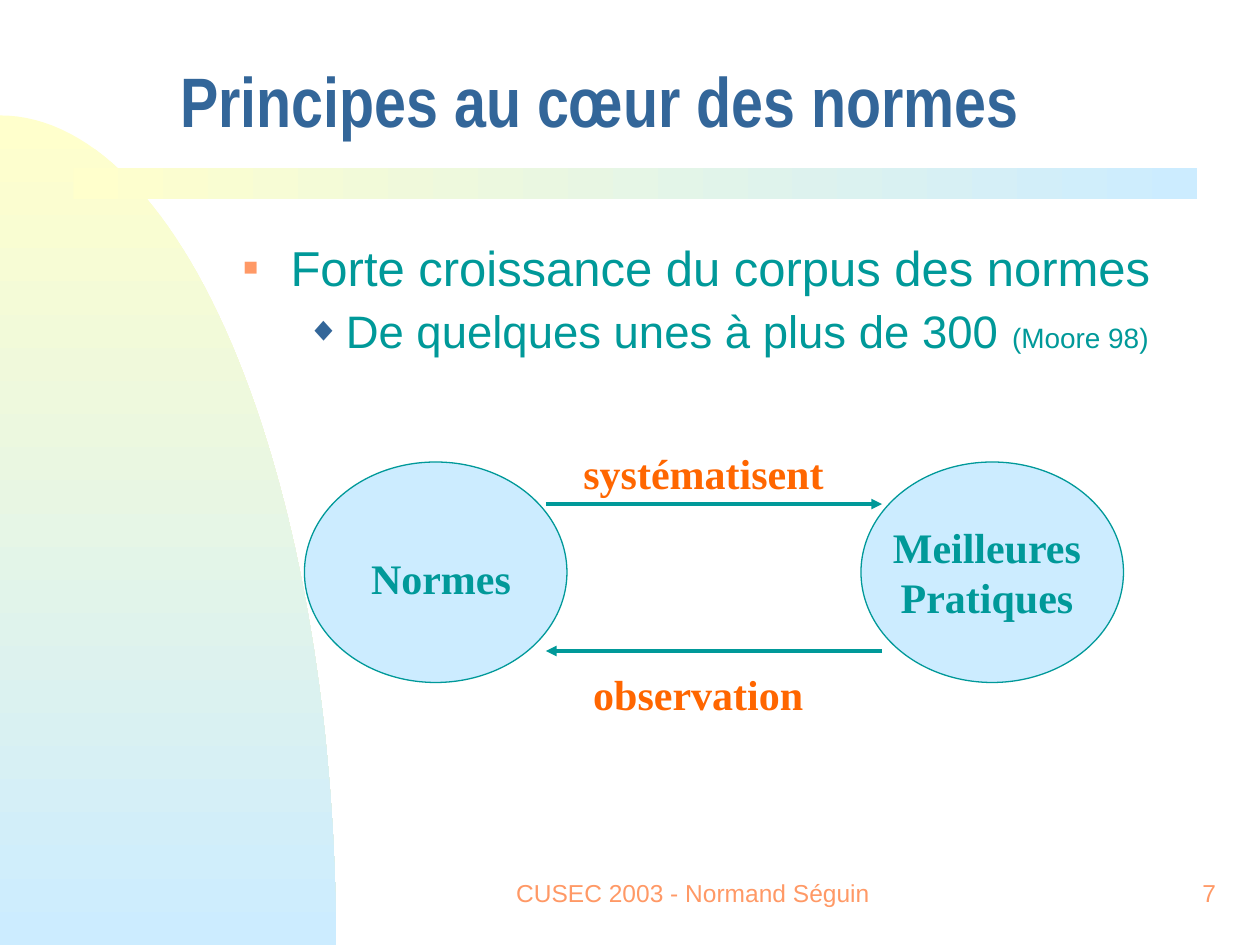
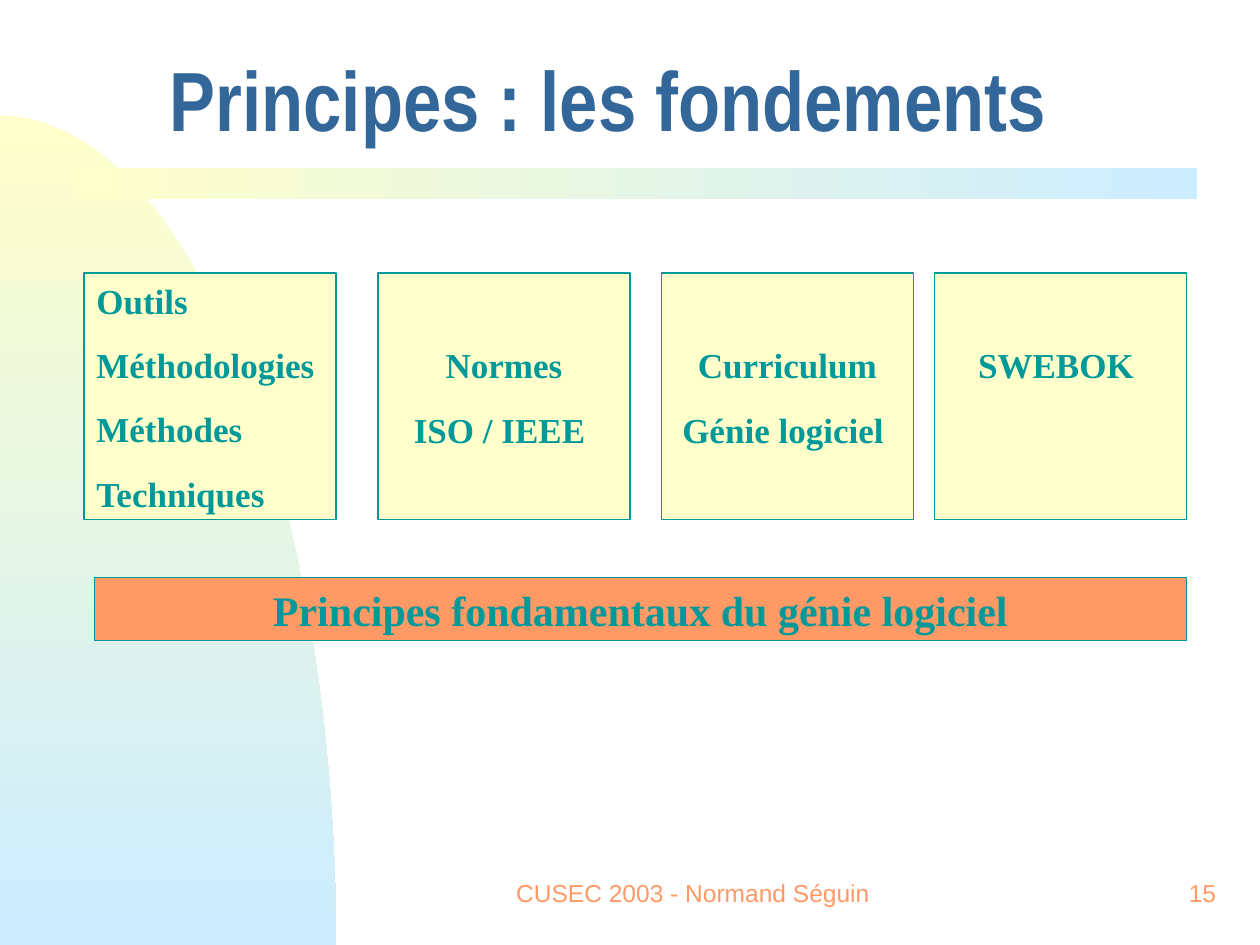
from dataclasses import dataclass
from math import cos, pi, sin
from lxml.etree import SubElement
from pptx import Presentation
from pptx.dml.color import RGBColor as Rgb
from pptx.enum.shapes import MSO_CONNECTOR as Link, MSO_SHAPE as Form
from pptx.enum.text import MSO_ANCHOR as Anchor, PP_ALIGN as Align
from pptx.oxml.ns import qn
from pptx.util import Pt


@dataclass(frozen=True)
class Theme:
    navy: str = "336699"
    teal: str = "009999"
    coral: str = "FF9966"
    orange: str = "FF6600"
    cream: str = "FFFFCC"
    sky: str = "CCECFF"
    sans: str = "Arial"
    narrow: str = "Arial Narrow"
    serif: str = "Times New Roman"
    foot: int = 14
    cite: int = 16
    small: int = 20
    label: int = 24
    sub: int = 26
    lead: int = 28
    line: float = 0.75
    arrow: float = 2


look = Theme()


def write(shape, lines, font, size, color, align=Align.CENTER, bold=False,
          anchor=Anchor.TOP, space=None, gap=0, top=3.6):
    frame = shape.text_frame
    frame.word_wrap = True
    frame.vertical_anchor = anchor
    frame.margin_left = frame.margin_right = Pt(7.2)
    frame.margin_top, frame.margin_bottom = Pt(top), Pt(3.6)
    for i, line in enumerate(lines):
        para = frame.add_paragraph() if i else frame.paragraphs[0]
        para.alignment = align
        para.line_spacing = space
        para.space_before = Pt(gap if i else 0)
        for text, pts in [(line, size)] if isinstance(line, str) else line:
            run = para.add_run()
            run.text = text
            run.font.name, run.font.size, run.font.bold = font, Pt(pts), bold
            run.font.color.rgb = Rgb.from_string(color)
    return frame


def paint(shape, fill):
    shape.shadow.inherit = False
    shape.fill.solid()
    shape.fill.fore_color.rgb = Rgb.from_string(fill)
    shape.line.color.rgb = Rgb.from_string(look.teal)
    shape.line.width = Pt(look.line)
    return shape


deck = Presentation()
deck.slide_width, deck.slide_height = Pt(720), Pt(540)

heads = [
    ("Principes au cœur des normes", 40, (96, 18, 570, 90), "7"),
    ("Principes : les fondements", 48, (90, 18, 522, 90), "15"),
]
pages = []
for title, size, box, number in heads:
    page = deck.slides.add_slide(deck.slide_layouts[6]).shapes
    pages.append(page)

    arc = [(Pt(192 * sin(pi * k / 120)), Pt(540 - 474 * cos(pi * k / 120)))
           for k in range(61)]
    path = page.build_freeform(*arc[0])
    path.add_line_segments(arc[1:] + [(0, Pt(540))], close=True)
    hill = path.convert_to_shape()
    band = page.add_shape(Form.RECTANGLE, Pt(42), Pt(96), Pt(642), Pt(18))
    for shape, angle in ((hill, 270), (band, 0)):
        shape.shadow.inherit = False
        shape.line.fill.background()
        shape.fill.gradient()
        shape.fill.gradient_angle = angle
        for stop, color in zip(shape.fill.gradient_stops, (look.cream, look.sky)):
            stop.color.rgb = Rgb.from_string(color)

    write(page.add_textbox(*map(Pt, box)), [title], look.narrow, size, look.navy,
          Align.LEFT, True, Anchor.MIDDLE, 0.7)
    for text, left, width, align in (
        ("CUSEC 2003 - Normand Séguin", 282, 228, Align.CENTER),
        (number, 552, 150, Align.RIGHT),
    ):
        foot = page.add_textbox(Pt(left), Pt(492), Pt(width), Pt(36))
        write(foot, [text], look.sans, look.foot, look.coral, align,
              anchor=Anchor.MIDDLE)

cycle, base = pages

body = write(
    cycle.add_textbox(Pt(132), Pt(132), Pt(570), Pt(348)),
    ["Forte croissance du corpus des normes",
     [("De quelques unes à plus de 300 ", look.sub), ("(Moore 98)", look.cite)]],
    look.sans, look.lead, look.teal, Align.LEFT, gap=4)
marks = [("■", look.coral, 50, 27, 27), ("◆", look.navy, 75, 58.5, 22.5)]
for level, (para, mark) in enumerate(zip(body.paragraphs, marks)):
    sign, color, scale, left, hang = mark
    para.level = level
    prop = para._p.get_or_add_pPr()
    prop.set("marL", str(Pt(left)))
    prop.set("indent", str(-Pt(hang)))
    tint = SubElement(prop, qn("a:buClr"))
    SubElement(tint, qn("a:srgbClr"), val=color)
    SubElement(prop, qn("a:buSzPct"), val=str(scale * 1000))
    SubElement(prop, qn("a:buFont"), typeface=look.sans)
    SubElement(prop, qn("a:buChar"), char=sign)

for left in (174, 492):
    paint(cycle.add_shape(Form.OVAL, Pt(left), Pt(264), Pt(150), Pt(126)), look.sky)

for start, end, y in ((312, 504, 288), (504, 312, 372)):
    arrow = cycle.add_connector(Link.STRAIGHT, Pt(start), Pt(y), Pt(end), Pt(y))
    arrow.line.color.rgb = Rgb.from_string(look.teal)
    arrow.line.width = Pt(look.arrow)
    SubElement(arrow.line._get_or_add_ln(), qn("a:tailEnd"), type="triangle")
    SubElement(arrow._element.spPr, qn("a:effectLst"))

labels = [
    ("Normes", (198, 312, 108, 36), look.teal),
    ("Meilleures Pratiques", (498, 294, 132, 65), look.teal),
    ("systématisent", (312, 252, 180, 36), look.orange),
    ("observation", (306, 378, 186, 36), look.orange),
]
for text, box, color in labels:
    write(cycle.add_textbox(*map(Pt, box)), [text], look.serif, look.label, color,
          bold=True, space=Pt(29))

bar = paint(base.add_shape(Form.RECTANGLE, Pt(54), Pt(330), Pt(624), Pt(36)), look.coral)
write(bar, ["Principes fondamentaux du génie logiciel"], look.serif, look.label,
      look.teal, bold=True, space=Pt(29))

blocks = [
    (48, ["Outils", "Méthodologies", "Méthodes", "Techniques"], Align.LEFT, 3.6),
    (216, ["Normes", "ISO / IEEE "], Align.CENTER, 40.3),
    (378, ["Curriculum", "Génie logiciel "], Align.CENTER, 40.3),
    (534, ["SWEBOK "], Align.CENTER, 40.3),
]
for left, lines, align, top in blocks:
    block = paint(base.add_shape(Form.RECTANGLE, Pt(left), Pt(156), Pt(144), Pt(141)),
                  look.cream)
    write(block, lines, look.serif, look.small, look.teal, align, True,
          space=Pt(24.2), gap=12.5, top=top)

deck.save("out.pptx")
